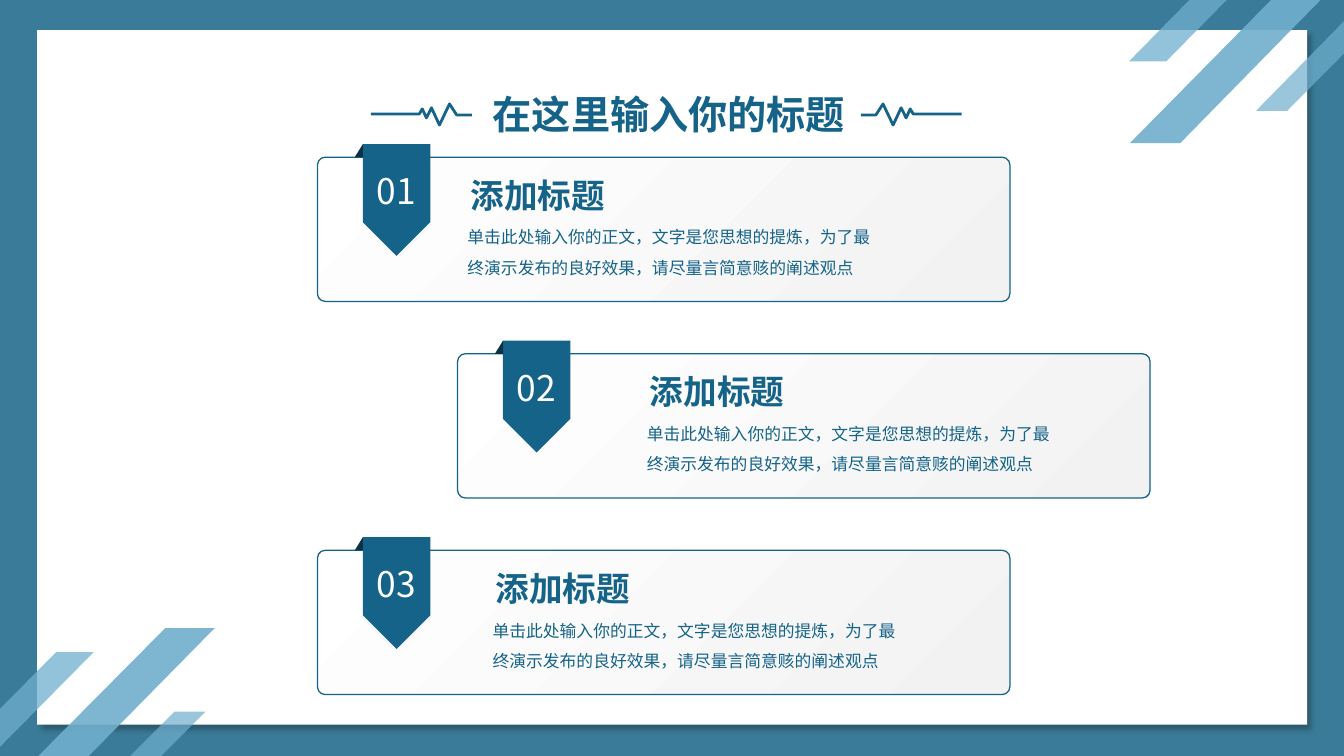
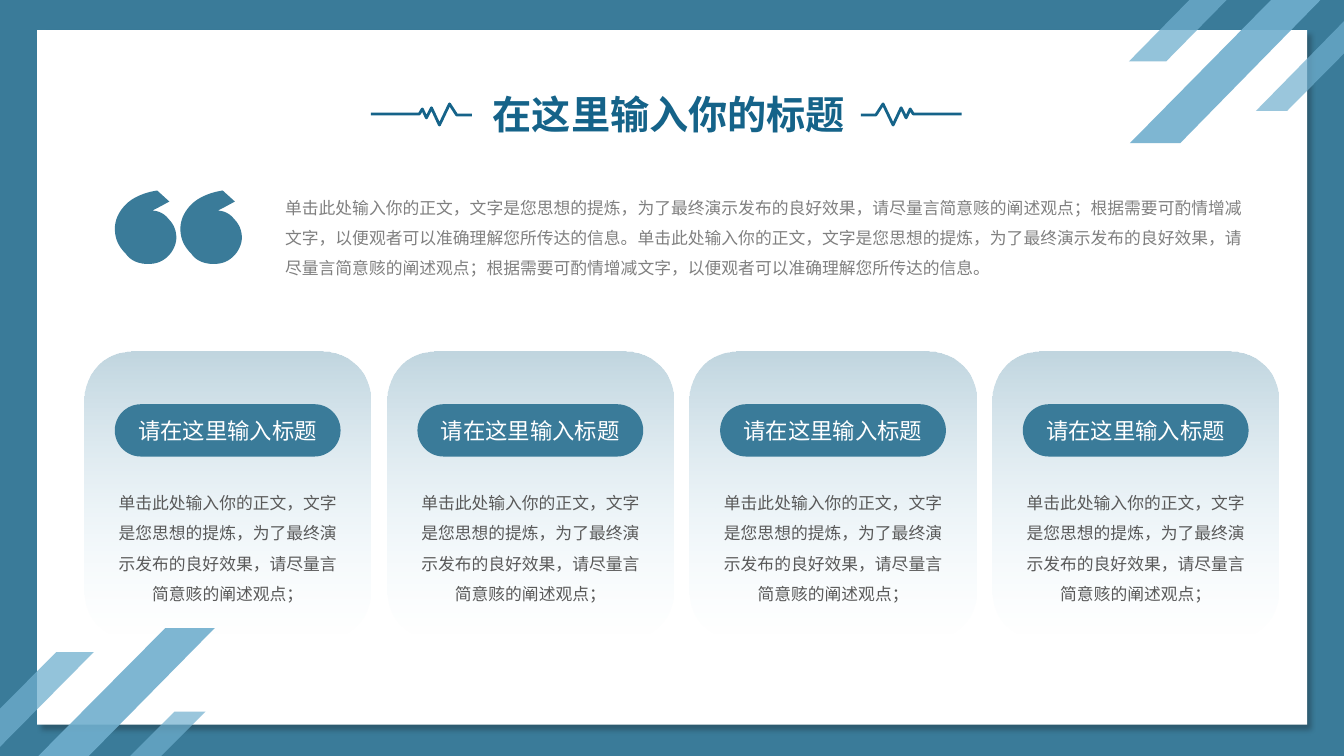
from lxml.etree import SubElement
from pptx import Presentation
from pptx.dml.color import RGBColor
from pptx.enum.shapes import MSO_SHAPE as Preset
from pptx.enum.text import MSO_ANCHOR as Anchor, PP_ALIGN as Align
from pptx.oxml.ns import qn
from pptx.util import Pt

COLORS = {
    "frame": "3A7B99", "accent": "156389", "fold": "0B3144", "stripe": "70AFCE",
    "sky": "A3D8F1", "white": "FFFFFF", "pale": "F2F2F2", "shadow": "0D0D0D",
    "body": "595959", "quote": "808080",
}
CJK_FONT = "Noto Sans CJK SC"
LATIN_FONT = "Arial"

TITLE = "在这里输入你的标题"
SUMMARY = "单击此处输入你的正文，文字是您思想的提炼，为了最终演示发布的良好效果，请尽量言简意赅的阐述观点"
QUOTE = (SUMMARY + "；根据需要可酌情增减文字，以便观者可以准确理解您所传达的信息。") * 2
# number, heading, summary, card left, heading offset from the card
STEPS = [
    ("01", "添加标题", SUMMARY, 226.8, 102.2),
    ("02", "添加标题", SUMMARY, 326.9, 130.3),
    ("03", "添加标题", SUMMARY, 226.8, 120.2),
]
COLUMNS = [("请在这里输入标题", SUMMARY + "；")] * 4

# opacity in percent, corners
STRIPES = [
    (90, [(907.9, 0), (943.2, 0), (843.1, 102.2), (807.1, 102.2)]),
    (75, [(849.6, 0), (876.2, 0), (833, 43.9), (806.4, 43.9)]),
    (70, [(960, 15.1), (960, 38.2), (919.4, 79.2), (897.1, 79.2)]),
    (90, [(118.1, 448.6), (153.4, 448.6), (63.4, 540), (27.4, 540)]),
    (75, [(40.3, 465.8), (67, 465.8), (0, 533.5), (0, 506.2)]),
    (70, [(124.6, 508.3), (146.9, 508.3), (115.2, 540), (92.9, 540)]),
]
PULSE = [(337, 82.1), (326.2, 82.1), (321.1, 74.2), (313.9, 89.3), (308.2, 77),
         (304.6, 84.2), (301.7, 77.8), (299.5, 81.4), (265, 81.4)]
PULSE_MIRROR = 951.9  # sum of the x values of two mirrored points
MARK_START = [(112.3, 136.1), (121, 144)]
MARK_CURVES = [  # two control points and an end point each
    ((114.5, 147.6), (110.2, 149.8), (108.7, 150.5)),
    ((113, 150.5), (117.4, 152.6), (120.2, 156.2)),
    ((123.8, 159.8), (126, 164.2), (126, 169.9)),
    ((126, 174.2), (123.8, 179.3), (120.2, 182.9)),
    ((116.6, 186.5), (112.3, 188.6), (105.8, 188.6)),
    ((98.6, 188.6), (92.9, 185.8), (90, 181.4)),
    ((84.2, 175.7), (82.1, 169.9), (82.1, 163.4)),
    ((82.1, 156.2), (85.7, 149.8), (91.4, 144.7)),
    ((96.5, 140.4), (103.7, 137.5), (112.3, 136.1)),
]
MARK_STEP = 46.8


def rgb(name):
    return RGBColor.from_string(COLORS[name])


def paint(shape, fill=None, line=None, width=1, gradient=None, angle=0, opacity=()):
    """Set fill and outline; opacity lists percents, one for each fill colour."""
    shape.shadow.inherit = False
    if gradient:
        shape.fill.gradient()
        shape.fill.gradient_angle = 360 - angle
        for stop, name in zip(shape.fill.gradient_stops, gradient):
            stop.color.rgb = rgb(name)
    elif fill:
        shape.fill.solid()
        shape.fill.fore_color.rgb = rgb(fill)
    else:
        shape.fill.background()
    for color, percent in zip(shape.element.spPr.iter(qn("a:srgbClr")), opacity):
        SubElement(color, qn("a:alpha"), val=str(percent * 1000))
    if line:
        shape.line.color.rgb = rgb(line)
        shape.line.width = Pt(width)
    else:
        shape.line.fill.background()
    return shape


def add_preset(slide, preset, box, adjust=(), **style):
    shape = slide.shapes.add_shape(preset, *map(Pt, box))
    for index, value in enumerate(adjust):
        shape.adjustments[index] = value
    return paint(shape, **style)


def add_outline(slide, contours, close=True, **style):
    builder = None
    for contour in contours:
        start, *rest = [(Pt(x), Pt(y)) for x, y in contour]
        if builder is None:
            builder = slide.shapes.build_freeform(*start)
        else:
            builder.move_to(*start)
        builder.add_line_segments(rest, close=close)
    return paint(builder.convert_to_shape(), **style)


def write(shape, text, size, color, font=CJK_FONT, bold=False, align=Align.LEFT,
          spacing=None, anchor=Anchor.TOP, wrap=True, inset=None):
    frame = shape.text_frame
    frame.word_wrap = wrap
    frame.vertical_anchor = anchor
    if inset is not None:
        frame.margin_left = frame.margin_right = Pt(inset)
        frame.margin_top = frame.margin_bottom = Pt(inset)
    paragraph = frame.paragraphs[0]
    paragraph.alignment = align
    if spacing:
        paragraph.line_spacing = spacing
    run = paragraph.add_run()
    run.text = text
    run.font.size = Pt(size)
    run.font.bold = bold
    run.font.color.rgb = rgb(color)
    run.font.name = font
    SubElement(run.font._element, qn("a:ea"), typeface=CJK_FONT)


def add_text(slide, box, text, size, color, **style):
    write(slide.shapes.add_textbox(*map(Pt, box)), text, size, color, **style)


def flatten(points, curves, steps=10):
    """Follow the points, then the cubic curves, as one list of points."""
    outline = list(points)
    for first, second, end in curves:
        start = outline[-1]
        for t in (step / steps for step in range(1, steps + 1)):
            weights = ((1 - t) ** 3, 3 * t * (1 - t) ** 2, 3 * t * t * (1 - t), t ** 3)
            corners = (start, first, second, end)
            outline.append(tuple(sum(weight * corner[axis] for weight, corner
                                     in zip(weights, corners)) for axis in (0, 1)))
    return outline


def draw_frame(slide):
    add_preset(slide, Preset.RECTANGLE, (0, 0, 960, 540), fill="frame")
    panel = add_preset(slide, Preset.RECTANGLE, (26.6, 21.6, 907.2, 496.1), fill="white")
    shadow = SubElement(panel.element.spPr.find(qn("a:effectLst")), qn("a:outerShdw"),
                        blurRad=str(Pt(4)), dist=str(Pt(5)), dir=str(45 * 60000),
                        algn="tl", rotWithShape="0")
    color = SubElement(shadow, qn("a:srgbClr"), val=COLORS["shadow"])
    SubElement(color, qn("a:alpha"), val="30000")
    for opacity, corners in STRIPES:
        add_outline(slide, [corners], fill="stripe", opacity=[opacity])
    for pulse in (PULSE, [(PULSE_MIRROR - x, y) for x, y in PULSE]):
        add_outline(slide, [pulse], close=False, line="accent", width=2)


def build_layout(presentation):
    """Move the shared frame to the blank layout; shapes can only be drawn on a slide."""
    layout = presentation.slide_layouts[6]
    for placeholder in list(layout.placeholders):
        layout.shapes.element.remove(placeholder.element)
    layout.background.fill.solid()
    layout.background.fill.fore_color.rgb = rgb("pale")
    slide = presentation.slides.add_slide(layout)
    draw_frame(slide)
    for shape in list(slide.shapes):
        layout.shapes.element.append(shape.element)
    return layout, slide


def add_title(slide):
    add_text(slide, (344.9, 61.2, 270, 41), TITLE, 28, "accent", bold=True)


def draw_steps(slide):
    add_title(slide)
    fold_width, fold_height = 5.8, 9.4
    for index, (number, heading, summary, left, heading_offset) in enumerate(STEPS):
        top = 112.3 + index * 140.4
        ribbon_left, ribbon_top = left + 32.4, top - fold_height
        text_left, text_top = left + heading_offset, top + 9
        add_preset(slide, Preset.ROUNDED_RECTANGLE, (left, top, 494.6, 103), [0.053],
                   gradient=("white", "pale"), angle=45, line="accent", width=0.9)
        add_preset(slide, Preset.DOWN_ARROW, (ribbon_left, ribbon_top, 48.2, 79.9),
                   [1, 0.5], fill="accent")
        turn = (fold_height - fold_width) / 2
        fold = add_preset(slide, Preset.RIGHT_TRIANGLE,
                          (ribbon_left - fold_width - turn, ribbon_top + turn,
                           fold_height, fold_width), fill="fold")
        fold.rotation = 270
        add_text(slide, (left + 42.3, top + 8.6, 28.8, 30.2), number, 25.2, "white",
                 wrap=False, inset=0)
        add_text(slide, (text_left, text_top, 125.3, 36), heading, 24, "accent",
                 bold=True, align=Align.JUSTIFY)
        add_text(slide, (text_left - 2.2, text_top + 30.2, 307.4, 49), summary, 12,
                 "accent", spacing=1.5)


def draw_columns(slide):
    add_title(slide)
    mark = flatten(MARK_START, MARK_CURVES)
    add_outline(slide, [mark, [(x + MARK_STEP, y) for x, y in mark]], fill="frame")
    add_text(slide, (196.6, 130.3, 703.4, 72.7), QUOTE, 12, "quote",
             font=LATIN_FONT, spacing=1.5)
    for index, (heading, summary) in enumerate(COLUMNS):
        left = 60.4 + index * 216.2
        add_preset(slide, Preset.ROUNDED_RECTANGLE, (left, 251.3, 204.5, 205.2),
                   gradient=("accent", "sky"), angle=90, opacity=(27, 0))
        pill = add_preset(slide, Preset.ROUNDED_RECTANGLE, (left + 21.6, 288.7, 161.3, 37.4),
                          [0.5], fill="frame")
        write(pill, heading, 16, "white", font=LATIN_FONT, align=Align.CENTER,
              anchor=Anchor.MIDDLE)
        add_text(slide, (left + 14.1, 341.3, 176.4, 94.3), summary, 12, "body",
                 font=LATIN_FONT, align=Align.CENTER, spacing=1.5)


def main():
    presentation = Presentation()
    presentation.slide_width, presentation.slide_height = Pt(960), Pt(540)
    layout, first_slide = build_layout(presentation)
    draw_steps(first_slide)
    draw_columns(presentation.slides.add_slide(layout))
    presentation.save("out.pptx")


if __name__ == "__main__":
    main()
